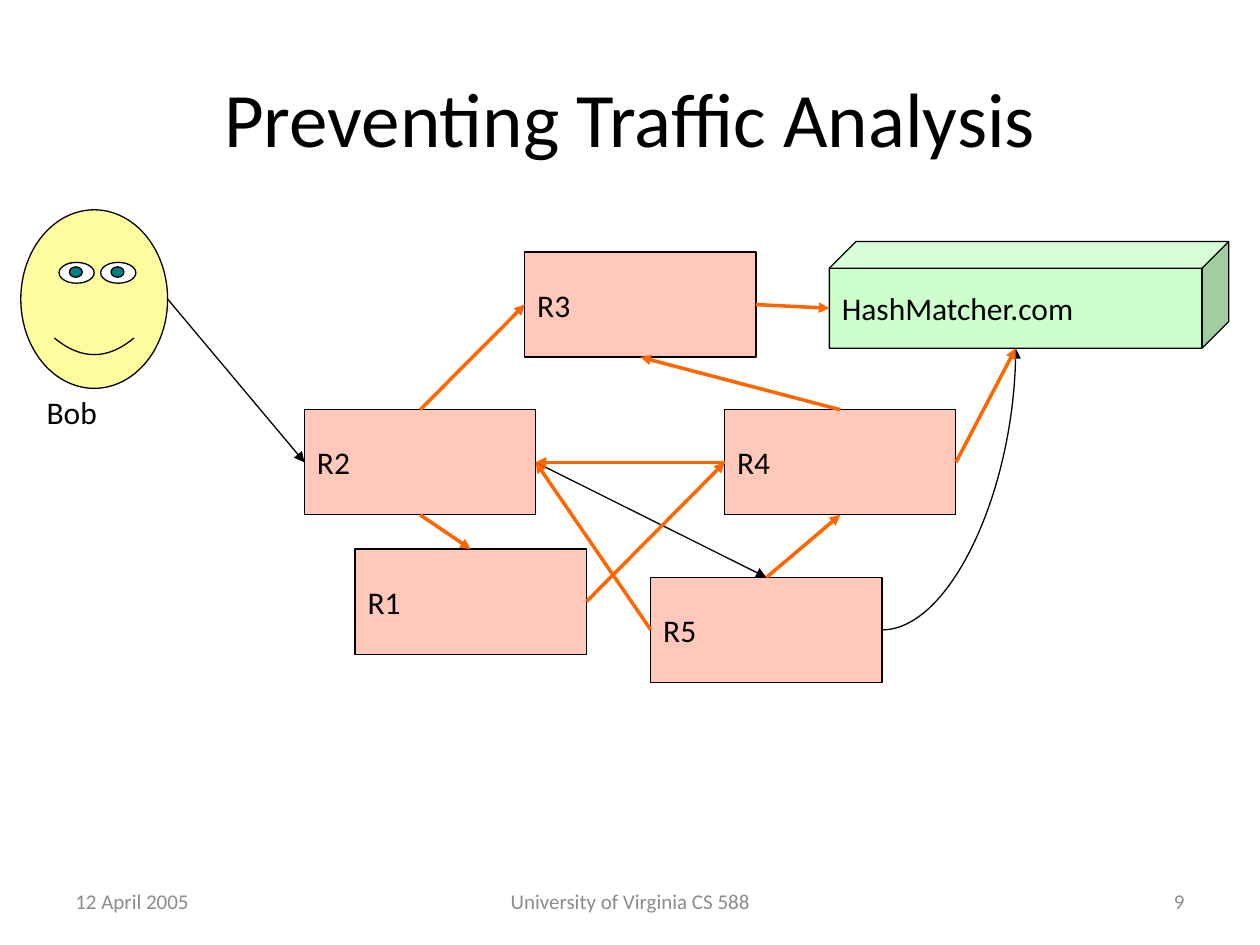
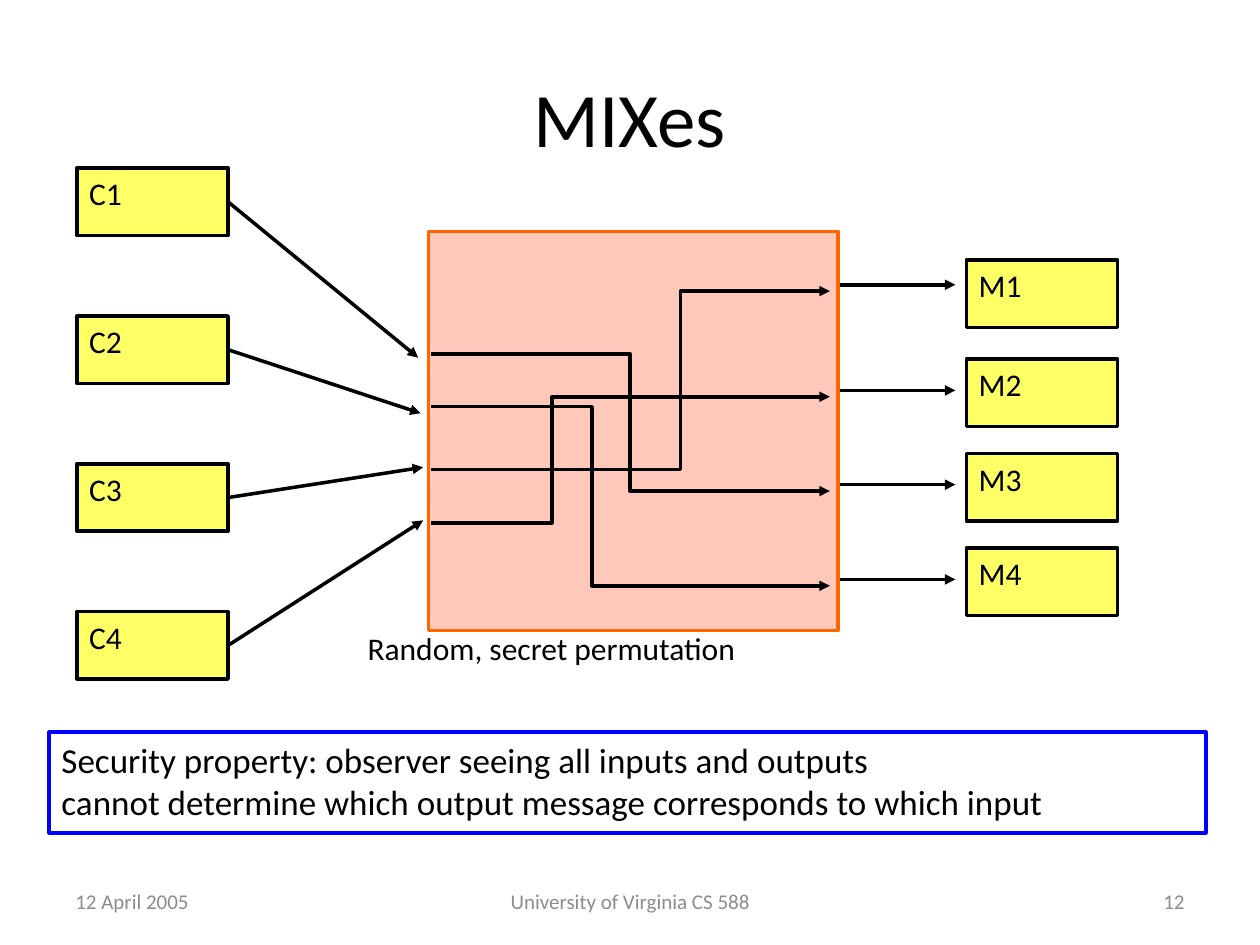
from lxml.etree import SubElement
from pptx import Presentation
from pptx.dml.color import RGBColor
from pptx.enum.shapes import MSO_CONNECTOR, MSO_SHAPE
from pptx.enum.text import MSO_ANCHOR, PP_ALIGN
from pptx.oxml.ns import qn
from pptx.util import Cm, Pt

# Shared style
FONT = "Calibri"
BLACK, GREY, ORANGE, BLUE = "000000", "8C8C8C", "FF6600", "0000FF"
PINK, YELLOW, MINT = "FFC8BB", "FFFF66", "CCFFCC"
FACE, WHITE, TEAL = "FEFC9E", "FFFFFF", "008080"
THIN, THICK = 0.75, 2
TITLE_BOX = (1.27, 0.76, 22.86, 3.18)

# Footer: left, width, alignment; the number comes with each slide
FOOTER_TOP, FOOTER_HEIGHT = 17.65, 1.02
FOOTER_PARTS = [
    ("12 April 2005", 1.27, 5.92, PP_ALIGN.LEFT),
    ("University of Virginia CS 588", 8.68, 8.05, PP_ALIGN.CENTER),
    (None, 18.21, 5.92, PP_ALIGN.RIGHT),
]

# Traffic analysis content: boxes are left, top, width, height in cm
ROUTER_SIZE = (4.66, 2.12)
ROUTERS = {
    "R5": (13.12, 11.64),
    "R4": (14.61, 8.26),
    "R3": (10.58, 5.08),
    "R2": (6.14, 8.26),
    "R1": (7.16, 11.07),
}
BOB_FACE = (0.42, 4.23, 2.96, 3.6)
BOB_LABEL = (0.69, 7.8, 2.03, 1.27)
EYE_LEFTS, EYE_TOP, EYE_SIZE = (1.19, 2.03), 5.29, (0.71, 0.42)
PUPIL_OFFSET, PUPIL_SIZE = (0.21, 0.09), (0.26, 0.21)
SERVER_NAME, SERVER = "HashMatcher.com", (16.72, 4.87, 8.05, 2.15)
MESSAGE_ROUTE = [
    ("Bob", "right", "R2", "left"),
    ("R2", "right", "R5", "top"),
    ("R5", "right", SERVER_NAME, "bottom"),
]
COVER_TRAFFIC = [
    ("R2", "bottom", "R1", "top"),
    ("R2", "top", "R3", "left"),
    ("R4", "left", "R2", "right"),
    ("R4", "top", "R3", "bottom"),
    ("R3", "right", SERVER_NAME, "left"),
    ("R1", "right", "R4", "left"),
    ("R5", "left", "R2", "right"),
    ("R5", "top", "R4", "bottom"),
    ("R4", "right", SERVER_NAME, "bottom"),
]

# MIX content
MIX = (8.64, 4.67, 8.26, 8.04)
MESSAGE_SIZE = (3.05, 1.36)
INPUT_LEFT, INPUT_TOP, INPUT_STEP = 1.55, 3.39, 2.98
INPUT_ARROW_ENDS = [(8.43, 7.21), (8.48, 8.33), (8.53, 9.42), (8.53, 10.49)]
OUTPUT_LEFT, OUTPUT_TOPS = 19.48, (5.24, 7.24, 9.14, 11.05)
OUTPUT_ARROW = (16.93, 19.26)
WIRE_LEFT, WIRE_RIGHT = 8.68, 16.73
WIRE_STARTS = (7.14, 8.2, 9.47, 10.54)
WIRE_ENDS = (5.87, 8.0, 9.9, 11.81)
WIRE_END_TO_ARROW = 0.13
PERMUTATION = [(1, 3, 50000), (3, 1, 62600), (2, 4, 40400), (4, 2, 30400)]
CAPTION, CAPTION_BOX = "Random, secret permutation", (7.16, 12.55, 11.2, 1.27)
PROPERTY_BOX = (0.99, 14.76, 23.32, 2.03)
PROPERTY_LINES = [
    "Security property: observer seeing all inputs and outputs",
    "cannot determine which output message corresponds to which input",
]


def color(hex_string):
    return RGBColor.from_string(hex_string)


def lengths(values):
    return [Cm(value) for value in values]


def write(shape, lines, size=18, font_color=BLACK, align=PP_ALIGN.LEFT,
          anchor=MSO_ANCHOR.TOP):
    frame = shape.text_frame
    frame.word_wrap = True
    frame.vertical_anchor = anchor
    frame.text = "\n".join(lines)
    for paragraph in frame.paragraphs:
        paragraph.alignment = align
        for run in paragraph.runs:
            run.font.name = FONT
            run.font.size = Pt(size)
            run.font.color.rgb = color(font_color)


def add_label(slide, text, box, **style):
    write(slide.shapes.add_textbox(*lengths(box)), [text], **style)


def add_box(slide, kind, box, fill=None, line=BLACK, width=THIN):
    shape = slide.shapes.add_shape(kind, *lengths(box))
    shape.shadow.inherit = False
    if fill:
        shape.fill.solid()
        shape.fill.fore_color.rgb = color(fill)
    else:
        shape.fill.background()
    shape.line.color.rgb = color(line)
    shape.line.width = Pt(width)
    return shape


def add_arrow(slide, start, end, line=BLACK, width=THICK,
              kind=MSO_CONNECTOR.STRAIGHT):
    arrow = slide.shapes.add_connector(kind, *lengths(start + end))
    arrow.line.color.rgb = color(line)
    arrow.line.width = Pt(width)
    properties = arrow.element.spPr
    SubElement(properties.find(qn("a:ln")), qn("a:tailEnd"), type="triangle")
    SubElement(properties, qn("a:effectLst"))
    return arrow


def geometry(connector):
    return connector.element.spPr.find(qn("a:prstGeom"))


def side_point(box, side):
    left, top, width, height = box
    return {
        "left": (left, top + height / 2),
        "right": (left + width, top + height / 2),
        "top": (left + width / 2, top),
        "bottom": (left + width / 2, top + height),
    }[side]


def add_titled_slide(presentation, title, number):
    slide = presentation.slides.add_slide(presentation.slide_layouts[5])
    heading = slide.shapes.title
    heading.left, heading.top, heading.width, heading.height = lengths(TITLE_BOX)
    write(heading, [title], 44, align=PP_ALIGN.CENTER, anchor=MSO_ANCHOR.MIDDLE)
    for text, left, width, align in FOOTER_PARTS:
        add_label(slide, text or number, (left, FOOTER_TOP, width, FOOTER_HEIGHT),
                  size=12, font_color=GREY, align=align, anchor=MSO_ANCHOR.MIDDLE)
    return slide


def build_traffic_slide(presentation):
    slide = add_titled_slide(presentation, "Preventing Traffic Analysis", "9")

    # Routers
    nodes = {name: corner + ROUTER_SIZE for name, corner in ROUTERS.items()}
    for name, box in nodes.items():
        router = add_box(slide, MSO_SHAPE.RECTANGLE, box, PINK)
        write(router, [name], anchor=MSO_ANCHOR.MIDDLE)

    # Bob
    add_label(slide, "Bob", BOB_LABEL)
    face = add_box(slide, MSO_SHAPE.SMILEY_FACE, BOB_FACE, FACE)
    face.adjustments[0] = 0.047
    for left in EYE_LEFTS:
        add_box(slide, MSO_SHAPE.OVAL, (left, EYE_TOP) + EYE_SIZE, WHITE)
        pupil = (left + PUPIL_OFFSET[0], EYE_TOP + PUPIL_OFFSET[1])
        add_box(slide, MSO_SHAPE.OVAL, pupil + PUPIL_SIZE, TEAL)

    # Server: arrows meet the front face of the cube
    server = add_box(slide, MSO_SHAPE.CUBE, SERVER, MINT)
    server.adjustments[0] = 0.25
    write(server, [SERVER_NAME], anchor=MSO_ANCHOR.MIDDLE)
    left, top, width, height = SERVER
    depth = height / 4
    nodes[SERVER_NAME] = (left, top + depth, width - depth, height - depth)
    nodes["Bob"] = BOB_FACE

    # Routes
    for route, line, weight in ((MESSAGE_ROUTE, BLACK, THIN),
                                (COVER_TRAFFIC, ORANGE, THICK)):
        for source, source_side, target, target_side in route:
            curved = (source, target) == ("R5", SERVER_NAME)
            kind = MSO_CONNECTOR.CURVE if curved else MSO_CONNECTOR.STRAIGHT
            arrow = add_arrow(slide, side_point(nodes[source], source_side),
                              side_point(nodes[target], target_side),
                              line, weight, kind)
            if curved:
                geometry(arrow).set("prst", "curvedConnector2")


def add_message(slide, name, left, top):
    box = (left, top) + MESSAGE_SIZE
    write(add_box(slide, MSO_SHAPE.RECTANGLE, box, YELLOW, width=THICK), [name])
    return box


def build_mix_slide(presentation):
    slide = add_titled_slide(presentation, "MIXes", "12")
    add_box(slide, MSO_SHAPE.RECTANGLE, MIX, PINK, ORANGE, THICK)

    # Inputs
    for index, end in enumerate(INPUT_ARROW_ENDS):
        box = add_message(slide, f"C{index + 1}", INPUT_LEFT,
                          INPUT_TOP + index * INPUT_STEP)
        add_arrow(slide, side_point(box, "right"), end)

    # Outputs
    for index, (top, wire_end) in enumerate(zip(OUTPUT_TOPS, WIRE_ENDS)):
        add_message(slide, f"M{index + 1}", OUTPUT_LEFT, top)
        level = wire_end - WIRE_END_TO_ARROW
        add_arrow(slide, (OUTPUT_ARROW[0], level), (OUTPUT_ARROW[1], level))

    # Permutation wires
    for source, target, turn in PERMUTATION:
        wire = add_arrow(slide, (WIRE_LEFT, WIRE_STARTS[source - 1]),
                         (WIRE_RIGHT, WIRE_ENDS[target - 1]),
                         kind=MSO_CONNECTOR.ELBOW)
        adjustments = geometry(wire).find(qn("a:avLst"))
        SubElement(adjustments, qn("a:gd"), name="adj1", fmla=f"val {turn}")

    # Caption and conclusion
    add_label(slide, CAPTION, CAPTION_BOX)
    conclusion = add_box(slide, MSO_SHAPE.RECTANGLE, PROPERTY_BOX,
                         line=BLUE, width=THICK)
    write(conclusion, PROPERTY_LINES, 20)


presentation = Presentation()
presentation.slide_width, presentation.slide_height = Cm(25.4), Cm(19.05)
build_traffic_slide(presentation)
build_mix_slide(presentation)
presentation.save("out.pptx")
